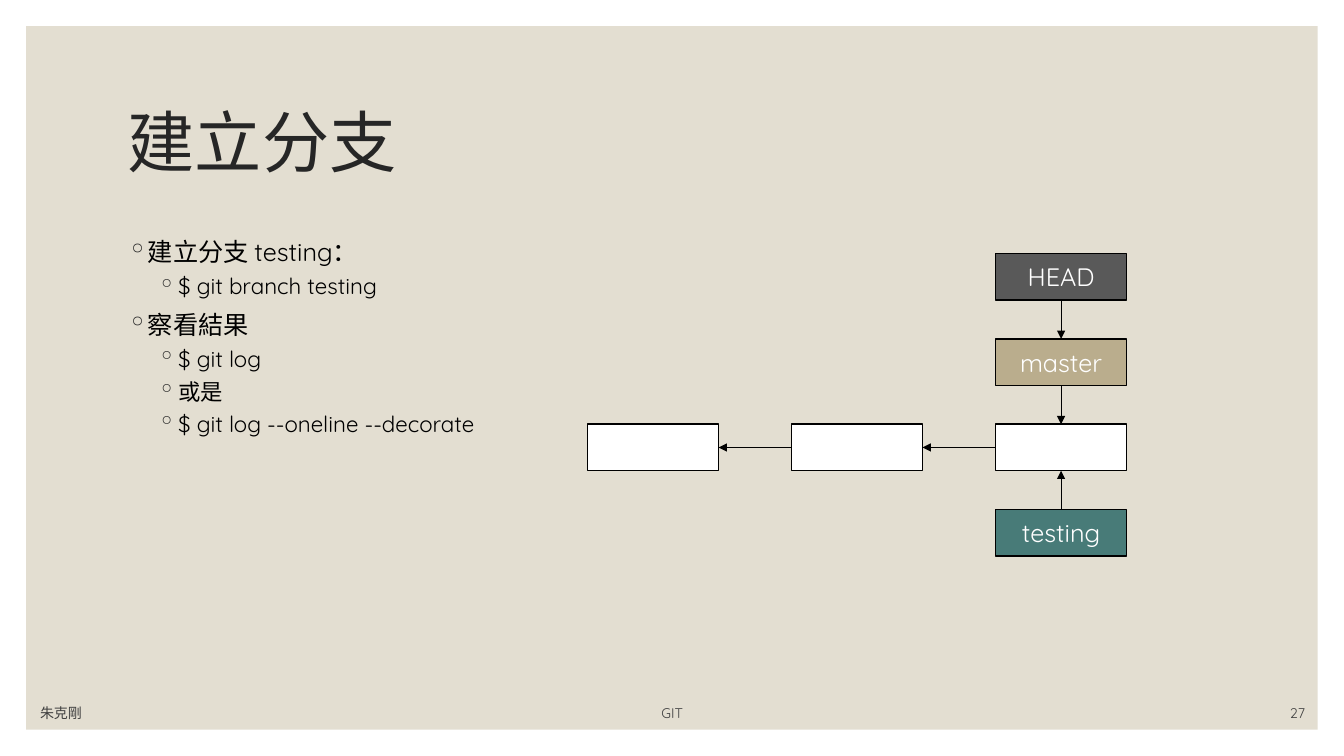
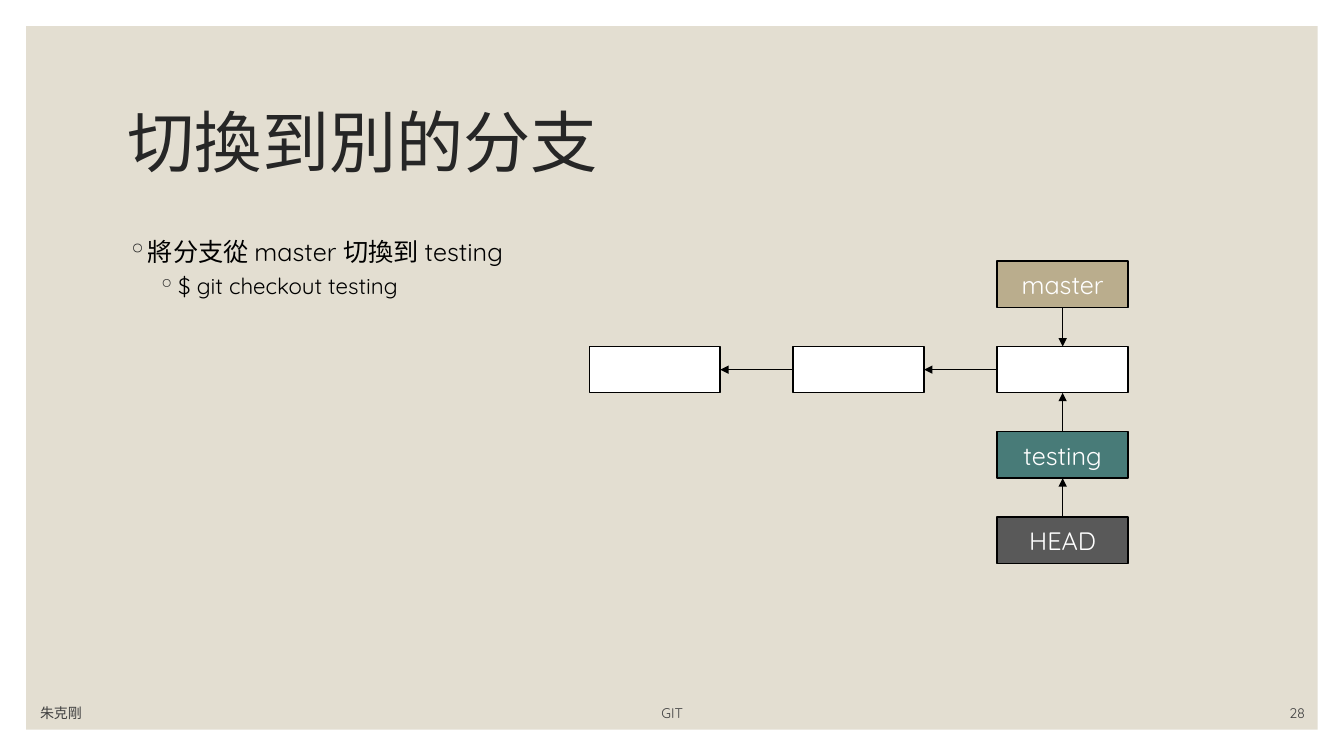
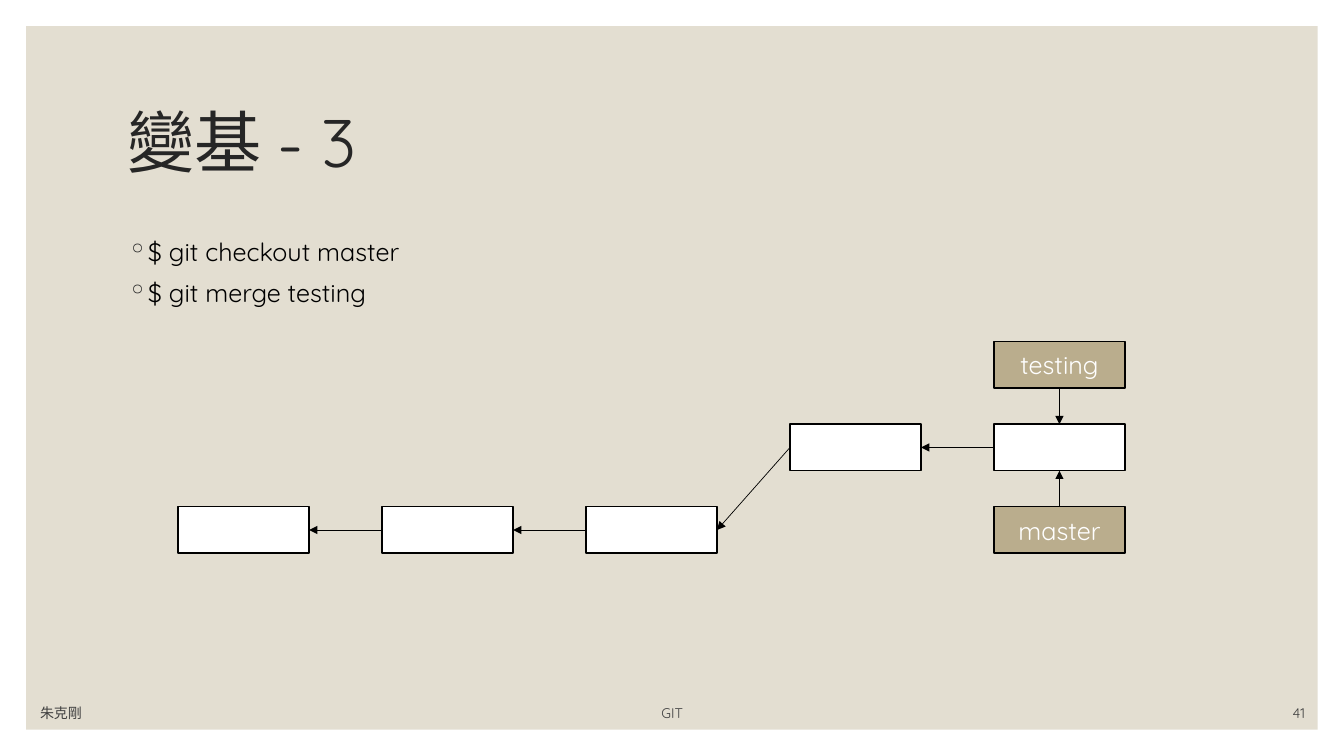
from dataclasses import dataclass

from lxml.etree import SubElement
from pptx import Presentation
from pptx.dml.color import RGBColor
from pptx.enum.shapes import MSO_CONNECTOR, MSO_SHAPE
from pptx.enum.text import MSO_ANCHOR, PP_ALIGN
from pptx.oxml.ns import qn
from pptx.util import Cm, Pt


@dataclass(frozen=True)
class Theme:
    font: str = "Quicksand"
    panel: str = "E3DED1"
    title: str = "262626"
    body: str = "000000"
    footer: str = "404040"
    line: str = "000000"
    label: str = "FFFFFF"
    commit: str = "FFFFFF"
    head: str = "595959"
    tan: str = "BAAD8D"
    teal: str = "487B78"
    title_size: float = 48
    label_size: float = 18
    footer_size: float = 10
    body_sizes: tuple = (18, 16)
    body_gaps: tuple = (7.2, 4)
    body_indents: tuple = (0.51, 1.27)
    hanging: float = 0.51


THEME = Theme()
TOP, LEFT, BOTTOM, RIGHT = range(4)
BOX_W, BOX_H, COL_STEP = 3.3, 1.17, 5.14


def rgb(value):
    return RGBColor.from_string(value)


def write(p, text, *, size, color, align=PP_ALIGN.LEFT, spacing=None, before=0):
    p.alignment = align
    p.line_spacing = spacing
    p.space_before = Pt(before)
    r = p.add_run()
    r.text = text
    r.font.name = THEME.font
    r.font.size = Pt(size)
    r.font.color.rgb = rgb(color)


def add_bullet(p, level):
    p.level = level
    pPr = p._p.get_or_add_pPr()
    pPr.set("marL", str(Cm(THEME.body_indents[level])))
    pPr.set("indent", str(-Cm(THEME.hanging)))
    color = SubElement(pPr, qn("a:buClr"))
    SubElement(color, qn("a:srgbClr")).set("val", THEME.title)
    SubElement(pPr, qn("a:buChar")).set("char", "◦")


class Deck:
    def __init__(self):
        self.prs = Presentation()
        self.prs.slide_width = Cm(33.87)
        self.prs.slide_height = Cm(19.05)
        self.s = None

    def slide(self, title, number):
        self.s = self.prs.slides.add_slide(self.prs.slide_layouts[6])
        self.rect(0.66, 0.66, 32.55, 17.73, THEME.panel)
        tf = self.text_box(2.97, 1.78, 27.94, 3.81, MSO_ANCHOR.MIDDLE)
        write(tf.paragraphs[0], title, size=THEME.title_size, color=THEME.title, spacing=0.9)
        for left, width, text, align in (
            (0.76, 7.62, "朱克剛", PP_ALIGN.LEFT),
            (9.7, 14.48, "GIT", PP_ALIGN.CENTER),
            (29.08, 4.06, str(number), PP_ALIGN.RIGHT),
        ):
            tf = self.text_box(left, 17.53, width, 0.76, MSO_ANCHOR.BOTTOM)
            write(tf.paragraphs[0], text, size=THEME.footer_size, color=THEME.footer, align=align)

    def text_box(self, left, top, width, height, anchor):
        sp = self.s.shapes.add_textbox(Cm(left), Cm(top), Cm(width), Cm(height))
        tf = sp.text_frame
        tf.word_wrap = True
        tf.vertical_anchor = anchor
        return tf

    def rect(self, left, top, width, height, fill):
        sp = self.s.shapes.add_shape(
            MSO_SHAPE.RECTANGLE, Cm(left), Cm(top), Cm(width), Cm(height))
        sp.shadow.inherit = False
        sp.fill.solid()
        sp.fill.fore_color.rgb = rgb(fill)
        sp.line.fill.background()
        return sp

    def bullets(self, items):
        tf = self.text_box(2.97, 5.84, 27.94, 10.92, MSO_ANCHOR.TOP)
        for i, (level, text) in enumerate(items):
            p = tf.add_paragraph() if i else tf.paragraphs[0]
            add_bullet(p, level)
            write(p, text, size=THEME.body_sizes[level], color=THEME.body,
                  before=THEME.body_gaps[level] if i else 0)

    def node(self, left, top, fill, label):
        sp = self.rect(left, top, BOX_W, BOX_H, fill)
        sp.line.color.rgb = rgb(THEME.line)
        sp.line.width = Pt(1)
        if label:
            tf = sp.text_frame
            tf.vertical_anchor = MSO_ANCHOR.MIDDLE
            write(tf.paragraphs[0], label, size=THEME.label_size, color=THEME.label,
                  align=PP_ALIGN.CENTER)
        return sp

    def arrow(self, source, source_side, target, target_side):
        cxn = self.s.shapes.add_connector(MSO_CONNECTOR.STRAIGHT, 0, 0, 0, 0)
        cxn.begin_connect(source, source_side)
        cxn.end_connect(target, target_side)
        cxn.line.color.rgb = rgb(THEME.line)
        cxn.line.width = Pt(0.5)
        SubElement(cxn.line._get_or_add_ln(), qn("a:tailEnd")).set("type", "triangle")
        SubElement(cxn._element.spPr, qn("a:effectLst"))

    def branch_graph(self, left, top, row_step, commits, refs, links):
        def place(col, row, fill, label=None):
            return self.node(left + col * COL_STEP, top + row * row_step, fill, label)

        chain = [place(col, row, THEME.commit) for col, row in commits]
        for parent, child in zip(chain, chain[1:]):
            self.arrow(child, LEFT, parent, RIGHT)
        nodes = {"tip": chain[-1]}
        tip_col = commits[-1][0]
        for label, row, fill in refs:
            nodes[label] = place(tip_col, row, fill, label)
        for source, target in links:
            a, b = nodes[source], nodes[target]
            sides = (BOTTOM, TOP) if a.top < b.top else (TOP, BOTTOM)
            self.arrow(a, sides[0], b, sides[1])


def main():
    deck = Deck()
    three_commits = [(col, 0) for col in range(3)]

    deck.slide("建立分支", 27)
    deck.bullets([
        (0, "建立分支 testing："),
        (1, "$ git branch testing"),
        (0, "察看結果"),
        (1, "$ git log"),
        (1, "或是"),
        (1, "$ git log --oneline --decorate"),
    ])
    deck.branch_graph(
        14.81, 10.69, 2.15, three_commits,
        [("HEAD", -2, THEME.head), ("master", -1, THEME.tan), ("testing", 1, THEME.teal)],
        [("HEAD", "master"), ("master", "tip"), ("testing", "tip")])

    deck.slide("切換到別的分支", 28)
    deck.bullets([
        (0, "將分支從 master 切換到 testing"),
        (1, "$ git checkout testing"),
    ])
    deck.branch_graph(
        14.85, 8.73, 2.15, three_commits,
        [("HEAD", 2, THEME.head), ("master", -1, THEME.tan), ("testing", 1, THEME.teal)],
        [("HEAD", "testing"), ("master", "tip"), ("testing", "tip")])

    deck.slide("變基 - 3", 41)
    deck.bullets([(0, "$ git checkout master"), (0, "$ git merge testing")])
    deck.branch_graph(
        4.49, 10.69, 2.08, [(0, 1), (1, 1), (2, 1), (3, 0), (4, 0)],
        [("master", 1, THEME.tan), ("testing", -1, THEME.tan)],
        [("master", "tip"), ("testing", "tip")])

    deck.prs.save("out.pptx")


if __name__ == "__main__":
    main()
